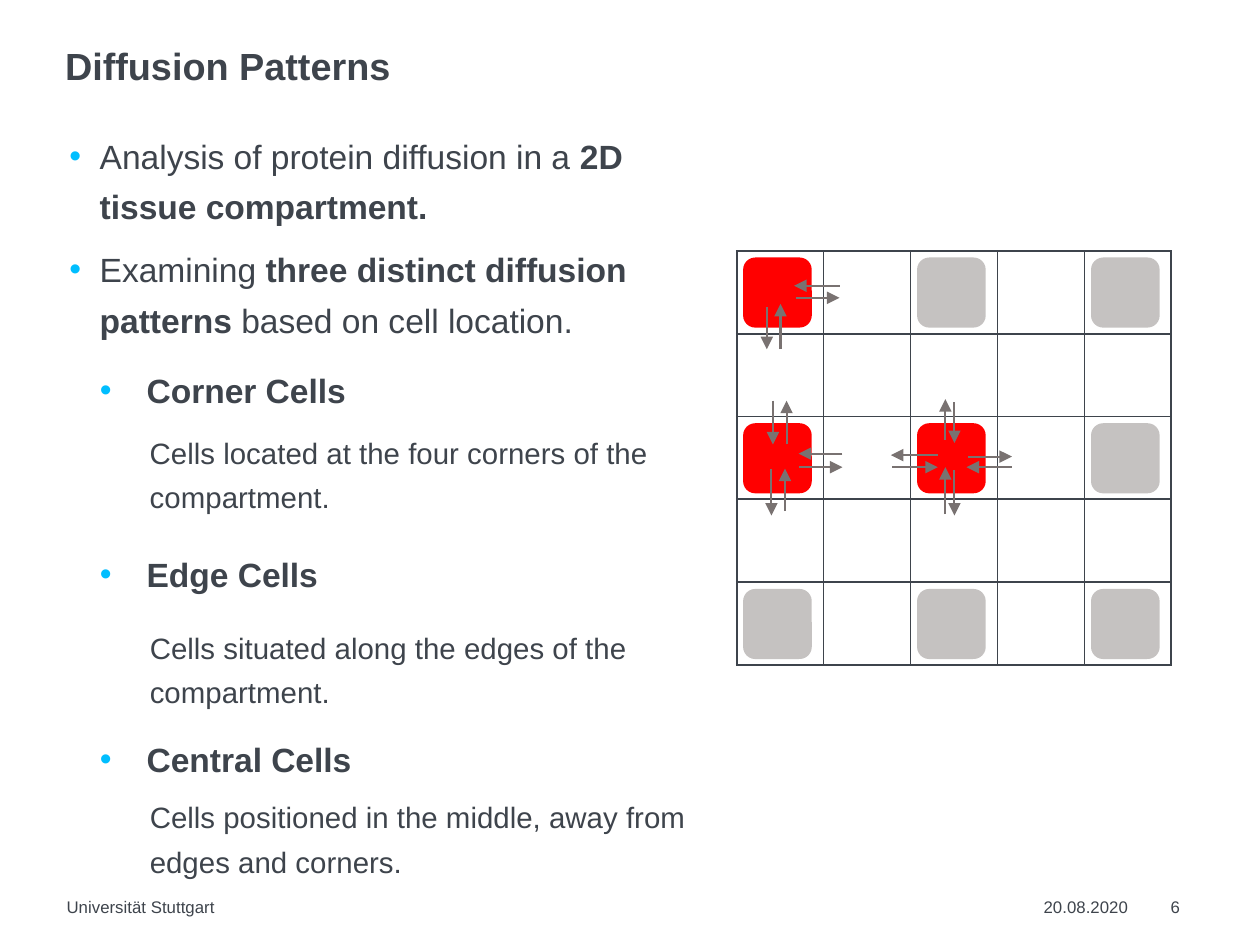
import pptx
import pptx.dml.color
import pptx.enum.dml
import pptx.enum.shapes
import pptx.enum.text
import pptx.oxml
import pptx.oxml.ns
import pptx.util

# Content
FONT = "Arial"
INK, BULLET, ARROW = "3E444C", "00BEFF", "797271"
RED, GREY, WHITE = "FF0000", "C5C2C1", "FFFFFF"

TITLE = "Diffusion Patterns"
# Each paragraph is a list of (text, bold)
INTRO = [
    [("Analysis of protein diffusion in a ", False),
     ("2D tissue compartment.", True)],
    [("Examining ", False),
     ("three distinct diffusion patterns", True),
     (" based on cell location.", False)],
]
# Heading, description, top and width of the description
PATTERNS = [
    ("Corner Cells", "Cells located at the four corners of the compartment.", 2.82, 3.37),
    ("Edge Cells", "Cells situated along the edges of the compartment.", 4.11, 3.42),
    ("Central Cells", "Cells positioned in the middle, away from edges and corners.", 5.23, 4.02),
]
# Text, left, width
FOOTER = [("Universität Stuttgart", 0.44, 5.51), ("20.08.2020", 6.9, 0.66), ("6", 7.74, 0.24)]

# Tissue grid
GRID_LEFT, GRID_TOP = 4.87, 1.66
GRID_COUNT = 5
COLUMN, ROW = 0.575, 0.548
CELL_INSET = 0.05
CELL_WIDTH, CELL_HEIGHT = 0.44, 0.45
RED_CELLS = {(0, 0), (2, 0), (2, 2)}

# Horizontal arrows: y, start x, end x
ACROSS = {
    "corner": [(1.89, 5.55, 5.25), (1.97, 5.26, 5.55)],
    "edge": [(3.0, 5.57, 5.28), (3.09, 5.28, 5.57)],
    "central": [(3.01, 6.2, 5.89), (3.09, 5.9, 6.2), (3.02, 6.4, 6.69), (3.09, 6.69, 6.39)],
}
# Vertical arrows: x, start y, end y
UPRIGHT = {
    "corner": [(5.07, 2.03, 2.31), (5.16, 2.31, 2.01)],
    "edge": [(5.11, 2.65, 2.94), (5.2, 2.94, 2.65), (5.1, 3.1, 3.41), (5.19, 3.38, 3.1)],
    "central": [(6.25, 2.91, 2.64), (6.31, 2.66, 2.93), (6.25, 3.4, 3.09), (6.31, 3.11, 3.41)],
}

inch = pptx.util.Inches


def color(value):
    return pptx.dml.color.RGBColor.from_string(value)


def paint(target, value):
    target.fill.solid()
    target.fill.fore_color.rgb = color(value)


def add_text(page, paragraphs, left, top, width, height, size=16, bold=False,
             spacing=1.25, before=6.2, indent=0,
             anchor=pptx.enum.text.MSO_ANCHOR.TOP):
    """Add a text box; an indent above zero gives every paragraph a bullet."""
    if isinstance(paragraphs, str):
        paragraphs = [[(paragraphs, bold)]]
    box = page.shapes.add_textbox(inch(left), inch(top), inch(width), inch(height))
    frame = box.text_frame
    frame.word_wrap = True
    frame.vertical_anchor = anchor
    frame.margin_left = frame.margin_right = frame.margin_top = frame.margin_bottom = 0
    for index, spans in enumerate(paragraphs):
        para = frame.add_paragraph() if index else frame.paragraphs[0]
        para.line_spacing = spacing
        para.space_before = pptx.util.Pt(before)
        if indent:
            settings = para._p.get_or_add_pPr()
            settings.set("marL", str(inch(indent)))
            settings.set("indent", str(-inch(indent)))
            bullet_color = pptx.oxml.ns.qn("a:buClr")
            mark = settings.makeelement(bullet_color, {})
            mark.append(mark.makeelement(pptx.oxml.ns.qn("a:srgbClr"), {"val": BULLET}))
            settings.append(mark)
            for tag, values in (("a:buFont", {"typeface": FONT}), ("a:buChar", {"char": "•"})):
                settings.append(settings.makeelement(pptx.oxml.ns.qn(tag), values))
        for text, is_bold in spans:
            span = para.add_run()
            span.text = text
            span.font.name = FONT
            span.font.size = pptx.util.Pt(size)
            span.font.bold = is_bold
            span.font.color.rgb = color(INK)


def add_border(cell):
    settings = cell._tc.get_or_add_tcPr()
    for position, side in enumerate(("lnL", "lnR", "lnT", "lnB")):
        border = pptx.oxml.parse_xml(
            f'<a:{side} {pptx.oxml.ns.nsdecls("a")} w="{pptx.util.Pt(1)}">'
            f'<a:solidFill><a:srgbClr val="{INK}"/></a:solidFill></a:{side}>')
        settings.insert(position, border)


def add_grid(page):
    table = page.shapes.add_table(
        GRID_COUNT, GRID_COUNT, inch(GRID_LEFT), inch(GRID_TOP),
        inch(COLUMN * GRID_COUNT), inch(ROW * GRID_COUNT)).table
    table.first_row = table.horz_banding = False
    for column in table.columns:
        column.width = inch(COLUMN)
    for row in table.rows:
        row.height = inch(ROW)
    for cell in table.iter_cells():
        paint(cell, WHITE)
        add_border(cell)


def add_tissue_cell(page, row, column):
    shape = page.shapes.add_shape(
        pptx.enum.shapes.MSO_SHAPE.FLOWCHART_ALTERNATE_PROCESS,
        inch(GRID_LEFT + CELL_INSET + column * COLUMN),
        inch(GRID_TOP + CELL_INSET + row * ROW),
        inch(CELL_WIDTH), inch(CELL_HEIGHT))
    fill = RED if (row, column) in RED_CELLS else GREY
    shape.shadow.inherit = False
    paint(shape, fill)
    shape.line.color.rgb = color(fill)
    shape.line.width = pptx.util.Pt(1)


def add_arrow(page, start, end):
    arrow = page.shapes.add_connector(
        pptx.enum.shapes.MSO_CONNECTOR.STRAIGHT, *map(inch, start + end))
    arrow.line.color.rgb = color(ARROW)
    arrow.line.width = pptx.util.Pt(1)
    outline = arrow.line._get_or_add_ln()
    outline.append(outline.makeelement(pptx.oxml.ns.qn("a:tailEnd"), {"type": "triangle"}))
    properties = arrow._element.spPr
    properties.append(properties.makeelement(pptx.oxml.ns.qn("a:effectLst"), {}))


def main():
    deck = pptx.Presentation()
    deck.slide_width, deck.slide_height = inch(8.33), inch(6.25)
    page = deck.slides.add_slide(deck.slide_layouts[6])

    # Title and footer
    middle = pptx.enum.text.MSO_ANCHOR.MIDDLE
    add_text(page, TITLE, 0.43, 0.3, 7.48, 0.3, size=18, bold=True,
             spacing=0.9, before=0, anchor=middle)
    for text, left, width in FOOTER:
        add_text(page, text, left, 5.93, width, 0.13, size=8, spacing=1.0, before=0)

    # Introduction and the three patterns
    add_text(page, INTRO, 0.46, 0.83, 4.3, 1.4, indent=0.2)
    for index, (heading, description, top, width) in enumerate(PATTERNS):
        add_text(page, heading, 0.66, 2.38 + 1.22 * index, 3.35, 0.32, bold=True, indent=0.31)
        add_text(page, description, 0.99, top, width, 0.56, size=14)

    # Tissue grid with a cell in every second row and column
    add_grid(page)
    for row in range(0, GRID_COUNT, 2):
        for column in range(0, GRID_COUNT, 2):
            add_tissue_cell(page, row, column)

    # Diffusion arrows
    for location in ACROSS:
        for y, start, end in ACROSS[location]:
            add_arrow(page, (start, y), (end, y))
        for x, start, end in UPRIGHT[location]:
            add_arrow(page, (x, start), (x, end))

    deck.save("out.pptx")


if __name__ == "__main__":
    main()
